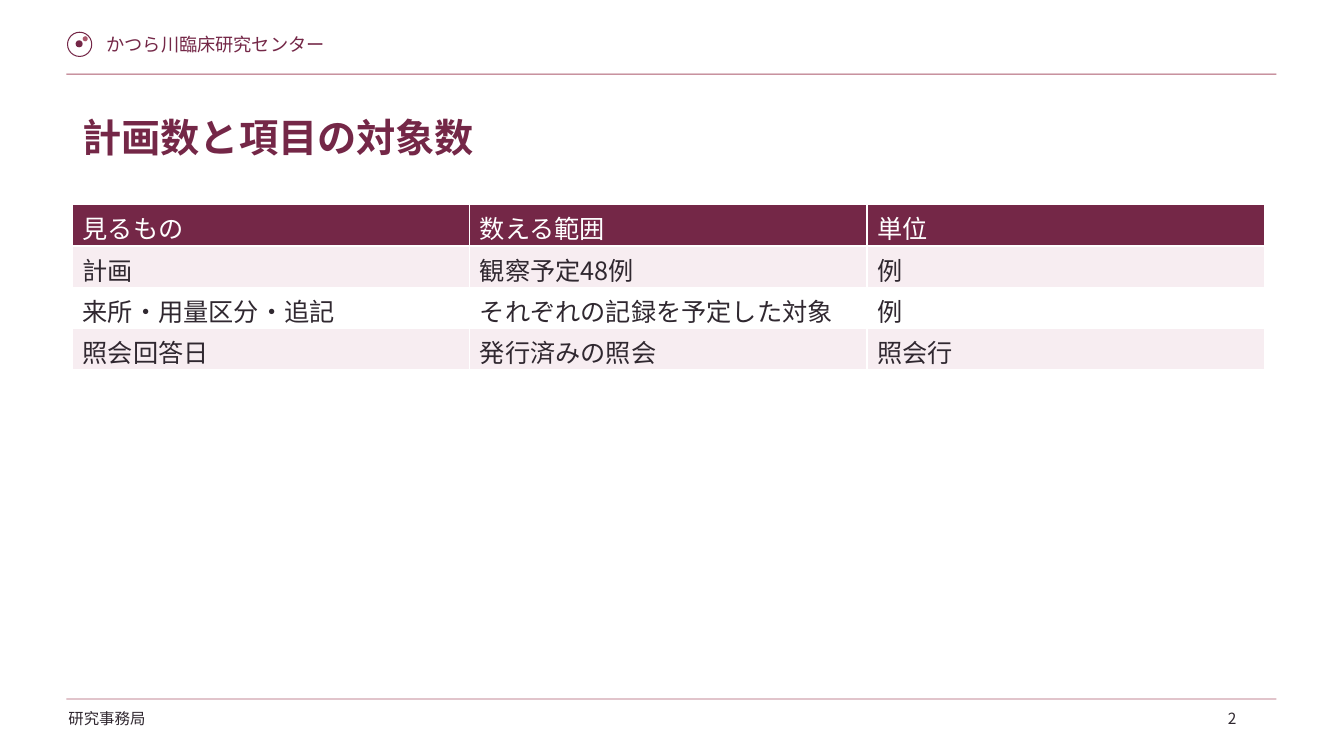
from dataclasses import dataclass
from typing import Optional

from lxml.etree import SubElement
from pptx import Presentation
from pptx.dml.color import RGBColor
from pptx.enum.shapes import MSO_SHAPE as Preset
from pptx.oxml.ns import qn
from pptx.util import Emu, Pt

EMU_PER_PX = 9144
FONT = "Noto Sans CJK JP"
PLUM = RGBColor(0x74, 0x27, 0x47)
ROSE = RGBColor(0xAB, 0x58, 0x6C)
BLUSH = RGBColor(0xF7, 0xED, 0xF1)
INK = RGBColor(0x30, 0x28, 0x30)
WHITE = RGBColor(0xFF, 0xFF, 0xFF)

COUNT_ROWS = [
    ("見るもの", "数える範囲", "単位"),
    ("計画", "観察予定48例", "例"),
    ("来所・用量区分・追記", "それぞれの記録を予定した対象", "例"),
    ("照会回答日", "発行済みの照会", "照会行"),
]
COLUMN_WIDTH = 394
ROW_HEIGHT = 41


@dataclass(frozen=True)
class Box:
    left: int
    top: int
    width: int
    height: int

    def emu(self) -> list[Emu]:
        return [px(n) for n in (self.left, self.top, self.width, self.height)]


@dataclass(frozen=True)
class Mark:
    preset: Preset
    box: Box
    fill: Optional[RGBColor] = None
    line: Optional[RGBColor] = None


@dataclass(frozen=True)
class Label:
    text: str
    box: Box
    size: int
    color: RGBColor
    bold: bool = False
    inset: int = 5


MARKS = [
    Mark(Preset.OVAL, Box(67, 32, 24, 24), line=PLUM),
    Mark(Preset.OVAL, Box(75, 40, 7, 7), fill=PLUM),
    Mark(Preset.OVAL, Box(82, 36, 5, 5), fill=ROSE),
    Mark(Preset.RECTANGLE, Box(66, 73, 1200, 1), fill=ROSE),
    Mark(Preset.RECTANGLE, Box(66, 693, 1200, 1), fill=ROSE),
]
LABELS = [
    Label("かつら川臨床研究センター", Box(96, 28, 330, 35), 13, PLUM),
    Label("研究事務局", Box(58, 699, 180, 36), 11, INK),
    Label("計画数と項目の対象数", Box(72, 102, 1190, 81), 28, PLUM, bold=True, inset=10),
    Label("2", Box(1208, 699, 50, 25), 11, INK),
]


def px(count: int) -> Emu:
    return Emu(count * EMU_PER_PX)


def write_text(frame, text: str, *, size: int, color: RGBColor, bold: bool = False) -> None:
    run = frame.paragraphs[0].add_run()
    run.text = text
    run.font.size = Pt(size)
    run.font.bold = bold
    run.font.color.rgb = color
    run.font.name = FONT
    SubElement(run.font._element, qn("a:ea"), typeface=FONT)


def draw_mark(slide, mark: Mark) -> None:
    shape = slide.shapes.add_shape(mark.preset, *mark.box.emu())
    shape.shadow.inherit = False
    if mark.fill is None:
        shape.fill.background()
    else:
        shape.fill.solid()
        shape.fill.fore_color.rgb = mark.fill
    if mark.line is None:
        shape.line.fill.background()
    else:
        shape.line.color.rgb = mark.line
        shape.line.width = Pt(0.75)


def draw_label(slide, label: Label) -> None:
    frame = slide.shapes.add_textbox(*label.box.emu()).text_frame
    frame.word_wrap = True
    frame.margin_left = frame.margin_right = px(10)
    frame.margin_top = frame.margin_bottom = px(label.inset)
    write_text(frame, label.text, size=label.size, color=label.color, bold=label.bold)


def draw_counts(slide, rows: list[tuple[str, ...]]) -> None:
    columns = len(rows[0])
    box = Box(72, 203, columns * COLUMN_WIDTH, len(rows) * ROW_HEIGHT)
    table = slide.shapes.add_table(len(rows), columns, *box.emu()).table
    for row, texts in enumerate(rows):
        fill = PLUM if row == 0 else BLUSH if row % 2 else WHITE
        for column, text in enumerate(texts):
            cell = table.cell(row, column)
            cell.fill.solid()
            cell.fill.fore_color.rgb = fill
            write_text(cell.text_frame, text, size=18, color=INK if row else WHITE)


def main() -> None:
    deck = Presentation()
    deck.slide_width, deck.slide_height = px(1333), px(750)
    slide = deck.slides.add_slide(deck.slide_layouts[6])
    for mark in MARKS:
        draw_mark(slide, mark)
    for label in LABELS:
        draw_label(slide, label)
    draw_counts(slide, COUNT_ROWS)
    deck.save("out.pptx")


if __name__ == "__main__":
    main()
